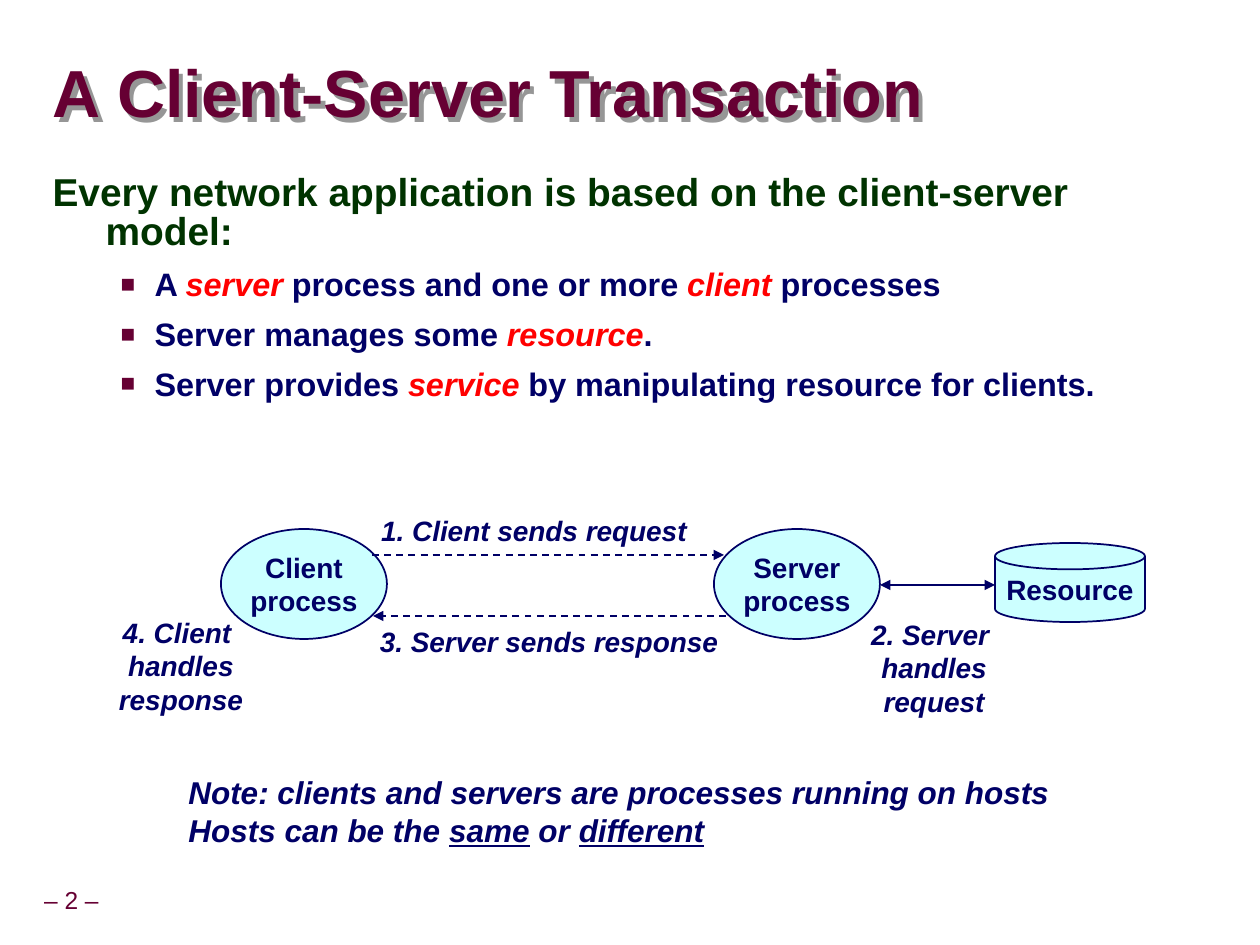
"""Builds a slide that explains a client-server transaction."""
from lxml import etree
from pptx import Presentation
from pptx import util as u
from pptx.dml.color import RGBColor
from pptx.enum import dml, shapes, text
from pptx.oxml import ns

PX = 914400 // 126
COLORS = {"plum": "660033", "green": "003300", "navy": "000066",
          "red": "FF0000", "cyan": "CCFFFF", "gray": "969696"}
FONT = "Arial"
KEY = {"color": "red", "italic": True}
LINK = {"underline": True}

TITLE = "A Client-Server Transaction"
LEAD = "Every network application is based on the client-server model:"
POINTS = [
    [("A ", {}), ("server", KEY), (" process and one or more ", {}),
     ("client ", KEY), ("processes", {})],
    [("Server manages some ", {}), ("resource", KEY), (".", {})],
    [("Server provides ", {}), ("service", KEY),
     (" by manipulating resource for clients.", {})],
]
NODES = [
    ("OVAL", (221, 529, 166, 110), ["Client", "process"]),
    ("OVAL", (714, 529, 166, 110), ["Server", "process"]),
    ("FLOWCHART_MAGNETIC_DISK", (995, 543, 150, 79), ["Resource"]),
]
ARROWS = [
    ((372, 555), (724, 555), True, ["tailEnd"]),
    ((726, 616), (373, 616), True, ["tailEnd"]),
    ((880, 585), (995, 585), False, ["headEnd", "tailEnd"]),
]
STEPS = [
    ((366, 507, 336, 46), ["1. Client sends request"]),
    ((856, 611, 156, 113), ["2. Server ", "handles", "request"]),
    ((364, 618, 370, 46), ["3. Server sends response"]),
    ((104, 609, 154, 113), ["4. Client ", "handles", "response"]),
]
NOTE = [
    "Note: clients and servers are processes running on hosts",
    [("Hosts can be the ", {}), ("same", LINK), (" or ", {}), ("different", LINK)],
]


def px(*lengths):
    return [length * PX for length in lengths]


def rgb(name):
    return RGBColor.from_string(COLORS[name])


def add_xml(parent, tag, **attributes):
    return etree.SubElement(parent, ns.qn("a:" + tag), attributes)


def write(para, content, size=16, color="navy", bold=True, italic=False,
          align="LEFT", spacing=1.0, before=0):
    para.alignment = getattr(text.PP_ALIGN, align)
    para.line_spacing = spacing
    para.space_before = u.Pt(before)
    spans = [(content, {})] if isinstance(content, str) else content
    for words, style in spans:
        span = para.add_run()
        span.text = words
        font = span.font
        font.name, font.size, font.bold = FONT, u.Pt(size), bold
        font.italic = style.get("italic", italic)
        font.underline = style.get("underline")
        font.color.rgb = rgb(style.get("color", color))


def write_lines(shape, lines, anchor="MIDDLE", **style):
    frame = shape.text_frame
    frame.word_wrap = False
    frame.vertical_anchor = getattr(text.MSO_ANCHOR, anchor)
    for index, line in enumerate(lines):
        para = frame.add_paragraph() if index else frame.paragraphs[0]
        write(para, line, **style)


def place(shape, *bounds):
    shape.left, shape.top, shape.width, shape.height = px(*bounds)


def indent(para, margin, hanging, bullet=False):
    props = para._p.get_or_add_pPr()
    props.set("marL", str(margin * PX))
    props.set("indent", str(-hanging * PX))
    if bullet:
        add_xml(add_xml(props, "buClr"), "srgbClr", val=COLORS["plum"])
        add_xml(props, "buSzPct", val="75000")
        add_xml(props, "buFont", typeface=FONT)
        add_xml(props, "buChar", char="■")
    else:
        add_xml(props, "buNone")


def add_title(page):
    title = page.shapes.title
    place(title, 53, 57, 987, 79)
    frame = title.text_frame
    frame.margin_left = frame.margin_right = frame.margin_top = frame.margin_bottom = 0
    frame.vertical_anchor = text.MSO_ANCHOR.MIDDLE
    frame.auto_size = text.MSO_AUTO_SIZE.NONE
    write(frame.paragraphs[0], TITLE, size=38, color="plum", spacing=0.87)
    title.fill.background()
    effects = add_xml(title._element.spPr, "effectLst")
    shadow = add_xml(effects, "outerShdw", dist="50800", dir="2700000",
                     algn="ctr", rotWithShape="0")
    add_xml(shadow, "srgbClr", val=COLORS["gray"])


def add_body(page):
    body = page.placeholders[1]
    place(body, 40, 168, 1145, 284)
    frame = body.text_frame
    frame.auto_size = text.MSO_AUTO_SIZE.NONE
    lead = frame.paragraphs[0]
    write(lead, LEAD, size=22.2, color="green", spacing=0.85, before=15)
    indent(lead, 53, 53)
    for point in POINTS:
        para = frame.add_paragraph()
        para.level = 1
        write(para, point, size=18.5, before=6.2)
        indent(para, 102, 34, bullet=True)


def add_node(page, kind, bounds, lines):
    node = page.shapes.add_shape(getattr(shapes.MSO_SHAPE, kind), *px(*bounds))
    node.shadow.inherit = False
    node.fill.solid()
    node.fill.fore_color.rgb = rgb("cyan")
    node.line.color.rgb = rgb("navy")
    node.line.width = u.Pt(1)
    write_lines(node, lines, align="CENTER")


def add_arrow(page, start, end, dashed, ends):
    arrow = page.shapes.add_connector(shapes.MSO_CONNECTOR.STRAIGHT, *px(*start, *end))
    arrow.line.color.rgb = rgb("navy")
    arrow.line.width = u.Pt(1)
    if dashed:
        arrow.line.dash_style = dml.MSO_LINE.DASH
    for tag in ends:
        add_xml(arrow.line._get_or_add_ln(), tag, type="triangle")
    add_xml(arrow._element.spPr, "effectLst")


def add_label(page, bounds, lines, **style):
    label = page.shapes.add_textbox(*px(*bounds))
    label.text_frame.auto_size = text.MSO_AUTO_SIZE.SHAPE_TO_FIT_TEXT
    write_lines(label, lines, **style)


def main():
    deck = Presentation()
    deck.slide_width, deck.slide_height = px(1260, 945)
    page = deck.slides.add_slide(deck.slide_layouts[1])
    add_title(page)
    add_body(page)
    for node in NODES:
        add_node(page, *node)
    for arrow in ARROWS:
        add_arrow(page, *arrow)
    for bounds, lines in STEPS:
        add_label(page, bounds, lines, italic=True, align="CENTER")
    add_label(page, (176, 767, 895, 88), NOTE, anchor="TOP", size=18, italic=True)
    add_label(page, (-11, 882, 165, 39), ["– 2 –"], size=14, color="plum",
              bold=False, align="CENTER", spacing=0.9)
    deck.save("out.pptx")


if __name__ == "__main__":
    main()
